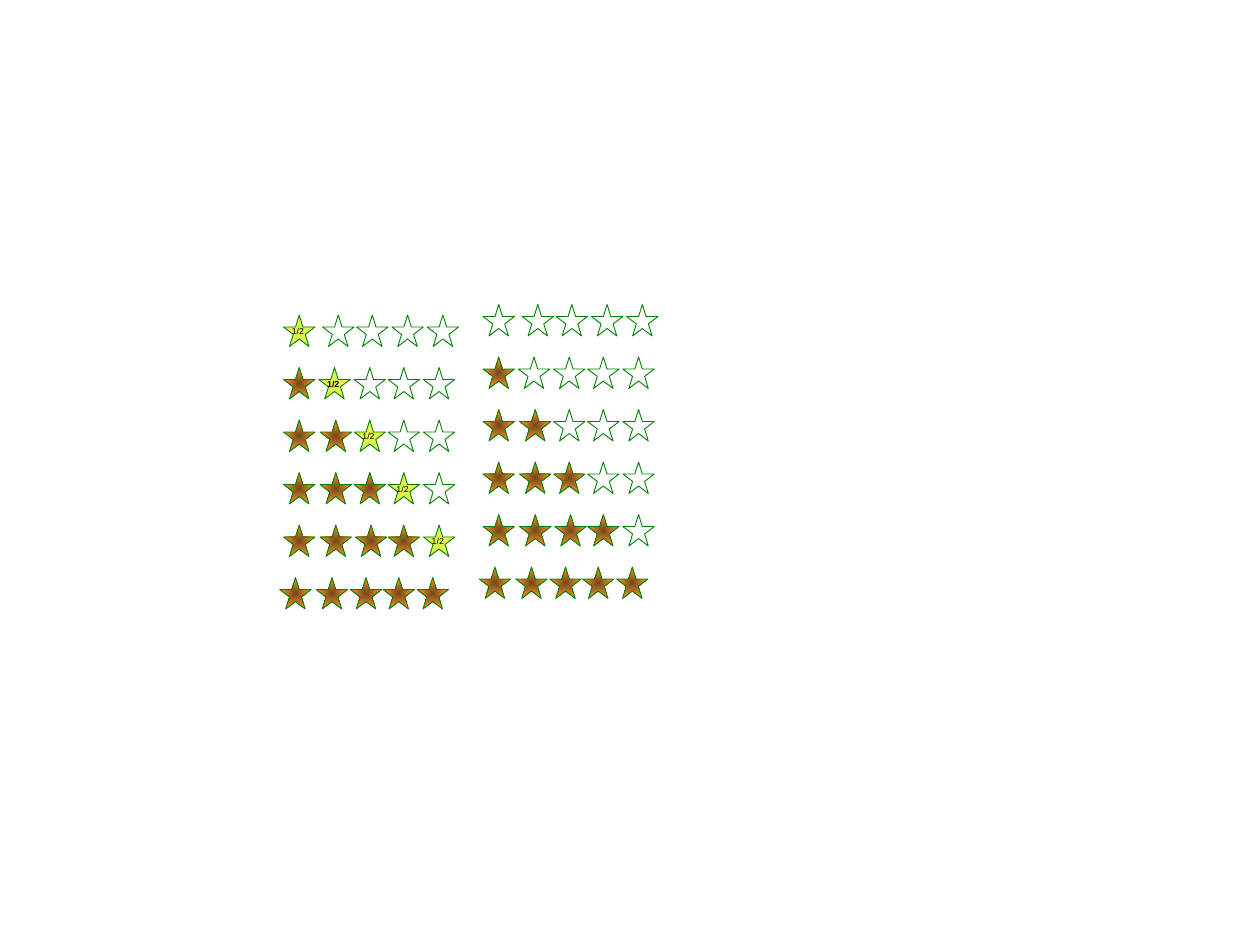
from lxml.etree import SubElement
from pptx import Presentation
from pptx.dml.color import RGBColor as RGB
from pptx.enum.shapes import MSO_SHAPE
from pptx.enum.text import MSO_AUTO_SIZE, PP_ALIGN
from pptx.oxml.ns import qn
from pptx.util import Inches, Pt

THEME = {
    "outline": RGB.from_string("008000"),
    "half": RGB.from_string("E1F14D"),
    "full": [RGB.from_string("754617"), RGB.from_string("FF9933")],
    "text": RGB.from_string("000000"),
    "font": "Arial",
    "label": Pt(5),
    "line": Pt(0.5),
}
STAR = 0.25
ROW_PITCH = 5 / 12
# Left edges of the five stars in each row, measured from the block's left edge
ROWS = [
    (0, 0.31, 0.58, 0.86, 1.14),
    (0, 0.28, 0.56, 0.83, 1.11),
    (0, 0.29, 0.56, 0.83, 1.11),
    (0, 0.29, 0.56, 0.83, 1.11),
    (0, 0.29, 0.57, 0.83, 1.11),
    (-0.03, 0.26, 0.53, 0.79, 1.06),
]
# Block left, block top, whether the star after the full ones is a half
BLOCKS = [(23 / 6, 29 / 12, False), (2.25, 2.5, True)]


def add_star(x, y, kind):
    """Draw a star that is "full", "half" or "empty"."""
    sp = s.shapes.add_shape(MSO_SHAPE.STAR_5_POINT, Inches(x), Inches(y),
                            Inches(STAR), Inches(STAR))
    sp.shadow.inherit = False
    sp.line.color.rgb = THEME["outline"]
    sp.line.width = THEME["line"]
    if kind == "empty":
        sp.fill.background()
    elif kind == "half":
        sp.fill.solid()
        sp.fill.fore_color.rgb = THEME["half"]
    else:
        sp.fill.gradient()
        for position, (stop, color) in enumerate(zip(sp.fill.gradient_stops, THEME["full"])):
            stop.position = position
            stop.color.rgb = color
        # Swap the linear gradient for one that spreads from the centre
        grad = sp._element.spPr.find(qn("a:gradFill"))
        grad.remove(grad.find(qn("a:lin")))
        spread = SubElement(grad, qn("a:path"), {"path": "rect"})
        SubElement(spread, qn("a:fillToRect"), dict.fromkeys("ltrb", "50000"))


def add_text(text, x, y, w=0.29, h=0.19, bold=False):
    tf = s.shapes.add_textbox(Inches(x), Inches(y), Inches(w), Inches(h)).text_frame
    tf.word_wrap = False
    tf.auto_size = MSO_AUTO_SIZE.NONE
    tf.margin_left = tf.margin_right = 0
    p = tf.paragraphs[0]
    p.alignment = PP_ALIGN.CENTER
    r = p.add_run()
    r.text = text
    r.font.name = THEME["font"]
    r.font.size = THEME["label"]
    r.font.bold = bold
    r.font.color.rgb = THEME["text"]


prs = Presentation()
prs.slide_width, prs.slide_height = Inches(10), Inches(7.5)
s = prs.slides.add_slide(prs.slide_layouts[6])

for left, top, has_half in BLOCKS:
    for rating, offsets in enumerate(ROWS):
        y = top + rating * ROW_PITCH
        for i, dx in enumerate(offsets):
            x = left + dx
            if i < rating:
                add_star(x, y, "full")
            elif i == rating and has_half:
                add_star(x, y, "half")
                add_text("1/2", x - 0.03, y + 0.04, bold=rating == 1)
            else:
                add_star(x, y, "empty")

prs.save("out.pptx")
